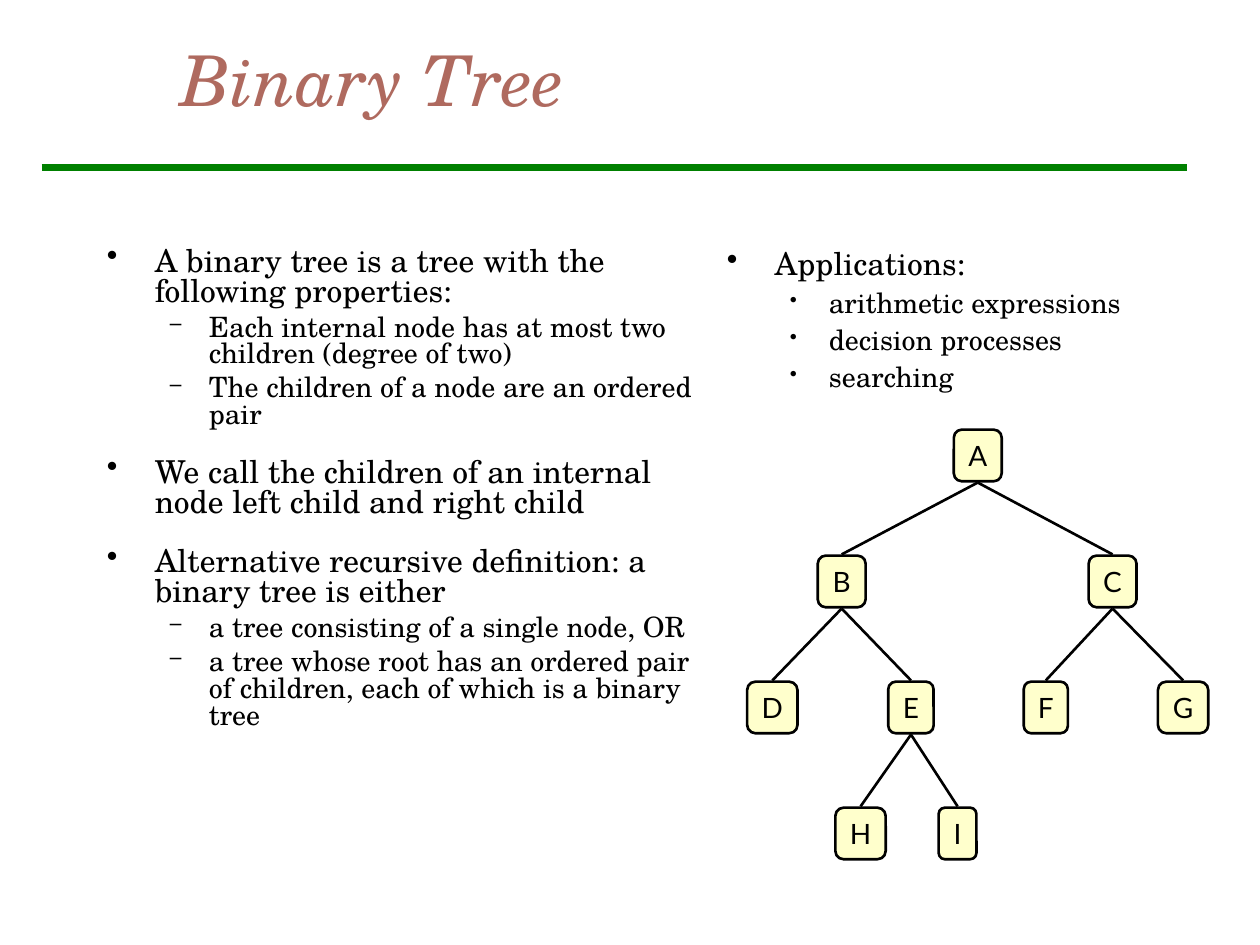
from lxml.etree import SubElement
from pptx import Presentation
from pptx.dml.color import RGBColor
from pptx.enum.shapes import MSO_CONNECTOR, MSO_SHAPE
from pptx.enum.text import MSO_ANCHOR as ANCHOR, MSO_AUTO_SIZE as AUTO, PP_ALIGN as ALIGN
from pptx.oxml.ns import qn
from pptx.util import Inches, Pt

BLACK = RGBColor(0x00, 0x00, 0x00)
GREEN = RGBColor(0x00, 0x80, 0x00)
ROSE = RGBColor(0xAF, 0x6A, 0x5F)
CREAM = RGBColor(0xFF, 0xFF, 0xCC)
SERIF, SANS = "TeX Gyre Schola", "Lato"

# level: (text size, left margin, hanging indent, space before, bullet size %)
LEVELS = {0: (18, 0.38, 0.38, 4.5, 100), 1: (16, 0.81, 0.31, 4, 75)}
GROUP_GAP = 12

# text, level, extra space before
PROPERTIES = [
    ("A binary tree is a tree with the following properties:", 0, 0),
    ("Each internal node has at most two children (degree of two)", 1, 0),
    ("The children of a node are an ordered pair", 1, 0),
    ("We call the children of an internal node left child and right child", 0, GROUP_GAP),
    ("Alternative recursive definition: a binary tree is either", 0, GROUP_GAP),
    ("a tree consisting of a single node, OR", 1, 0),
    ("a tree whose root has an ordered pair of children, "
     "each of which is a binary tree", 1, 0),
]
APPLICATIONS = [
    ("Applications:", 0, 0),
    ("arithmetic expressions", 1, 0),
    ("decision processes", 1, 0),
    ("searching", 1, 0),
]

# label: (centre x, depth, width, parent)
NODES = {
    "A": (7.76, 0, 0.38, None),
    "B": (6.68, 1, 0.38, "A"),
    "C": (8.83, 1, 0.38, "A"),
    "D": (6.13, 2, 0.4, "B"),
    "E": (7.23, 2, 0.36, "B"),
    "F": (8.3, 2, 0.35, "C"),
    "G": (9.39, 2, 0.4, "C"),
    "H": (6.83, 3, 0.4, "E"),
    "I": (7.6, 3, 0.3, "E"),
}
TREE_TOP, ROW_STEP, NODE_H, EDGE_GAP = 3.41, 1.0, 0.41, 0.01


def write(p, text, size=18, font=SERIF, color=BLACK, italic=False, align=ALIGN.LEFT):
    """Add a formatted run to a paragraph."""
    p.alignment = align
    r = p.add_run()
    r.text = text
    r.font.size, r.font.name, r.font.italic = Pt(size), font, italic
    r.font.color.rgb = color


def set_bullet(p, char, margin, hang, percent):
    """Give a paragraph a hanging black bullet."""
    pPr = p._p.get_or_add_pPr()
    pPr.set("marL", str(Inches(margin)))
    pPr.set("indent", str(-Inches(hang)))
    SubElement(SubElement(pPr, qn("a:buClr")), qn("a:srgbClr"), val=str(BLACK))
    SubElement(pPr, qn("a:buSzPct"), val=str(percent * 1000))
    SubElement(pPr, qn("a:buChar"), char=char)


def add_title(slide, text):
    """Place and format the title placeholder."""
    sp = slide.shapes.title
    sp.left, sp.top, sp.width, sp.height = map(Inches, (1.33, 0, 8.5, 1.25))
    tf = sp.text_frame
    tf.auto_size, tf.vertical_anchor = AUTO.NONE, ANCHOR.MIDDLE
    write(tf.paragraphs[0], text, size=40, color=ROSE, italic=True)


def add_bullets(slide, items, box, line_spacing, sub_bullet):
    """Add a text box with a two-level bulleted list."""
    tf = slide.shapes.add_textbox(*map(Inches, box)).text_frame
    tf.word_wrap = True
    for i, (text, level, extra) in enumerate(items):
        p = tf.add_paragraph() if i else tf.paragraphs[0]
        size, margin, hang, before, percent = LEVELS[level]
        p.level, p.line_spacing, p.space_before = level, line_spacing, Pt(before + extra)
        set_bullet(p, sub_bullet if level else "\u2022", margin, hang, percent)
        write(p, text, size=size)


def add_line(slide, start, end, color=BLACK, width=1.5):
    """Add a straight line without a shadow."""
    line = slide.shapes.add_connector(MSO_CONNECTOR.STRAIGHT, *map(Inches, start + end))
    line.line.color.rgb, line.line.width = color, Pt(width)
    SubElement(line._element.spPr, qn("a:effectLst"))


def row_top(depth):
    """Return the top of a row of nodes in inches."""
    return TREE_TOP + depth * ROW_STEP


def add_node(slide, label, x, depth, width):
    """Add one rounded, labelled tree node."""
    box = map(Inches, (x - width / 2, row_top(depth), width, NODE_H))
    sp = slide.shapes.add_shape(MSO_SHAPE.ROUNDED_RECTANGLE, *box)
    sp.shadow.inherit = False
    sp.fill.solid()
    sp.fill.fore_color.rgb = CREAM
    sp.line.color.rgb, sp.line.width = BLACK, Pt(1.5)
    tf = sp.text_frame
    tf.word_wrap, tf.vertical_anchor = False, ANCHOR.MIDDLE
    write(tf.paragraphs[0], label, size=16, font=SANS, align=ALIGN.CENTER)


def add_tree(slide):
    """Draw every node and the edge from its parent."""
    for label, (x, depth, width, parent) in NODES.items():
        add_node(slide, label, x, depth, width)
        if parent:
            start = (NODES[parent][0], row_top(depth - 1) + NODE_H + EDGE_GAP)
            add_line(slide, start, (x, row_top(depth) - EDGE_GAP))


def main():
    """Build and save the slide."""
    prs = Presentation()
    prs.slide_width, prs.slide_height = Inches(10), Inches(7.5)
    slide = prs.slides.add_slide(prs.slide_layouts[5])
    add_line(slide, (0.33, 1.33), (9.42, 1.33), color=GREEN, width=4)
    add_title(slide, "Binary Tree")
    add_bullets(slide, PROPERTIES, (0.75, 1.92, 4.92, 4.67), 0.8, "\u2013")
    add_bullets(slide, APPLICATIONS, (5.67, 1.92, 3.58, 1.67), 0.9, "\u2022")
    add_tree(slide)
    prs.save("out.pptx")


main()
